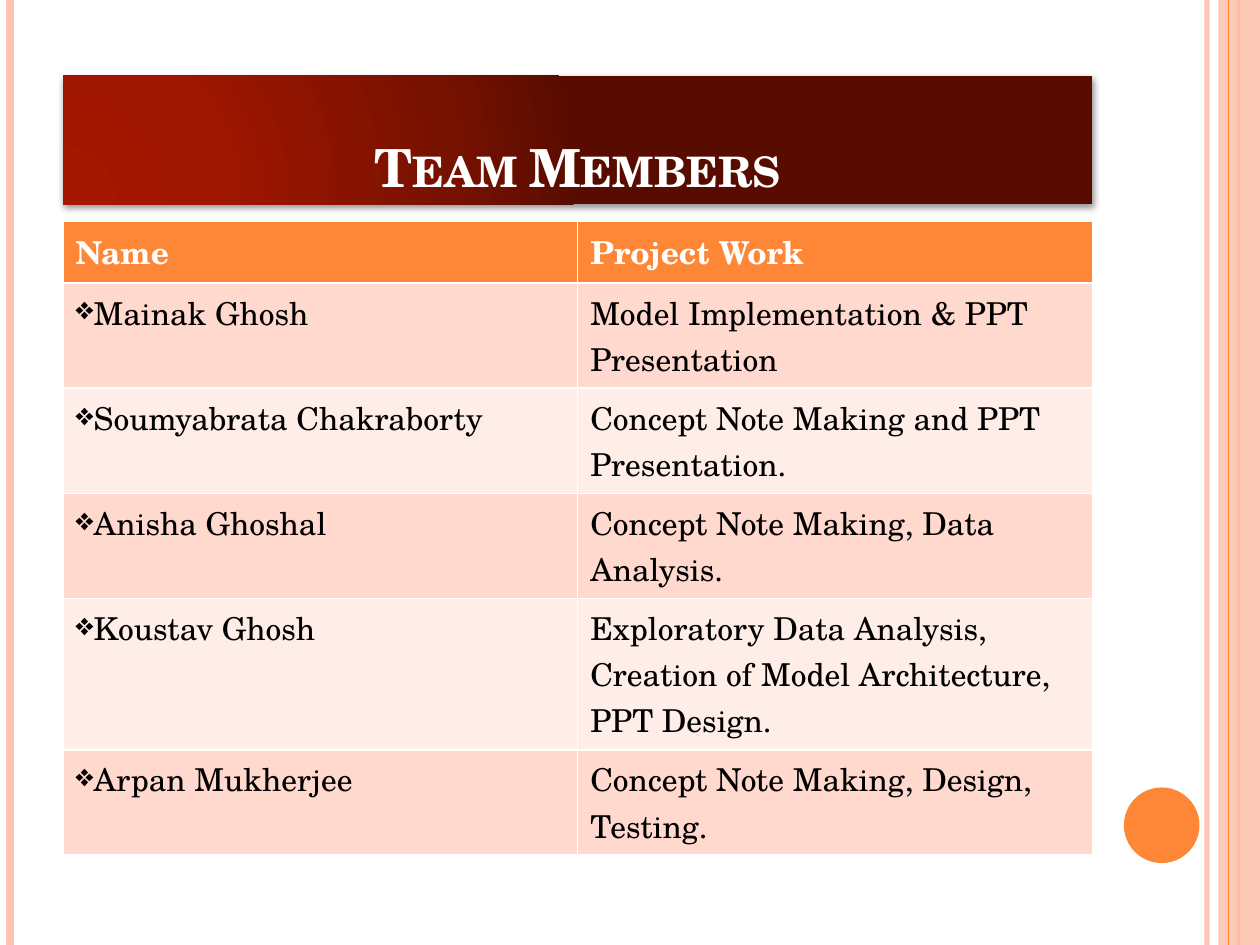
import pptx
import pptx.util
import pptx.dml.color
import pptx.enum.shapes
import pptx.enum.text
import pptx.oxml
import pptx.oxml.ns

Inches, Pt = pptx.util.Inches, pptx.util.Pt
RGB = pptx.dml.color.RGBColor
SHAPE = pptx.enum.shapes.MSO_SHAPE
qn = pptx.oxml.ns.qn
NS = pptx.oxml.ns.nsdecls("a")

FONT = "TeX Gyre Schola"
WHITE = RGB(0xFF, 0xFF, 0xFF)
BLACK = RGB(0, 0, 0)
ORANGE = RGB(0xFE, 0x86, 0x37)
PEACH = RGB(0xFE, 0xC3, 0xAE)
BANDS = [RGB(0xFF, 0xD9, 0xCE), RGB(0xFF, 0xED, 0xE8)]
REDS = [(0, RGB(0xA4, 0x17, 0x00)), (30, RGB(0x9F, 0x16, 0x00)),
        (75, RGB(0x77, 0x11, 0x00)), (100, RGB(0x58, 0x0C, 0x00))]

TITLE = "Team Members"
HEAD = ("Name", "Project Work")
TEAM = [
    ("Mainak Ghosh", "Model Implementation & PPT Presentation"),
    ("Soumyabrata Chakraborty", "Concept Note Making and PPT Presentation."),
    ("Anisha Ghoshal", "Concept Note Making, Data Analysis."),
    ("Koustav Ghosh", "Exploratory Data Analysis, Creation of Model "
                      "Architecture, PPT Design."),
    ("Arpan Mukherjee", "Concept Note Making, Design, Testing."),
]
HIGHS = [0.43, 0.75, 0.75, 0.75, 1.07, 0.75]
# x, colour, width in points, opacity in percent
RULES = [(9.58, PEACH, 3, 93), (0.08, PEACH, 4.5, 100), (9.83, ORANGE, 1.5, 100)]
EDGE = (9.75, ORANGE, 0.75, 100)
LEFT, WIDE, TALL = 0.5, 8.17, 7.5


def node(xml):
    return pptx.oxml.parse_xml(xml)


def fade(part, pct):
    """Set the opacity of the solid fill inside an XML element."""
    color = part.find(".//" + qn("a:srgbClr"))
    color.append(node(f'<a:alpha {NS} val="{pct * 1000}"/>'))


def add_rule(slide, x, color, width, pct):
    rule = slide.shapes.add_connector(
        pptx.enum.shapes.MSO_CONNECTOR.STRAIGHT,
        Inches(x), 0, Inches(x), Inches(TALL))
    rule.line.color.rgb = color
    rule.line.width = Pt(width)
    props = rule._element.spPr
    if pct < 100:
        fade(props, pct)
    props.append(node(f"<a:effectLst {NS}/>"))


def add_shape(slide, kind, box, color):
    shape = slide.shapes.add_shape(kind, *map(Inches, box))
    shape.shadow.inherit = False
    shape.fill.solid()
    shape.fill.fore_color.rgb = color
    shape.line.fill.background()
    return shape


def write(para, text, size, color, bold):
    run = para.add_run()
    run.text = text
    font = run.font
    font.name, font.size, font.bold = FONT, Pt(size), bold
    font.color.rgb = color
    return run


def add_title(slide):
    title = slide.shapes.title
    title.left, title.top = Inches(LEFT), Inches(0.6)
    title.width, title.height = Inches(WIDE), Inches(1.02)
    stops = "".join(f'<a:gs pos="{pos * 1000}"><a:srgbClr val="{color}"/></a:gs>'
                    for pos, color in REDS)
    props = title._element.spPr
    props.append(node(
        f'<a:gradFill {NS} rotWithShape="1"><a:gsLst>{stops}</a:gsLst>'
        '<a:path path="circle"><a:fillToRect l="5000" t="100000" r="120000" '
        'b="10000"/></a:path></a:gradFill>'))
    props.append(node(
        f'<a:effectLst {NS}><a:outerShdw blurRad="{Pt(4)}" dist="{Pt(1.6)}" '
        'dir="5400000" rotWithShape="0"><a:srgbClr val="000000">'
        '<a:alpha val="42000"/></a:srgbClr></a:outerShdw></a:effectLst>'))
    frame = title.text_frame
    frame.auto_size = pptx.enum.text.MSO_AUTO_SIZE.NONE
    frame.vertical_anchor = pptx.enum.text.MSO_ANCHOR.BOTTOM
    para = frame.paragraphs[0]
    para.alignment = pptx.enum.text.PP_ALIGN.CENTER
    run = write(para, TITLE, 30, WHITE, True)
    run.font._element.set("cap", "small")


def add_team(slide):
    rows = [HEAD] + TEAM
    table = slide.shapes.add_table(
        len(rows), len(HEAD), Inches(LEFT), Inches(1.76),
        Inches(WIDE), Inches(sum(HIGHS))).table
    for i, (row, high) in enumerate(zip(rows, HIGHS)):
        table.rows[i].height = Inches(high)
        head = i == 0
        for j, text in enumerate(row):
            cell = table.cell(i, j)
            cell.fill.solid()
            cell.fill.fore_color.rgb = ORANGE if head else BANDS[(i - 1) % 2]
            para = cell.text_frame.paragraphs[0]
            write(para, text, 18, WHITE if head else BLACK, head)
            if j == 0 and not head:
                props = para._p.get_or_add_pPr()
                props.append(node(f'<a:buChar {NS} char="❖"/>'))


def main():
    deck = pptx.Presentation()
    deck.slide_width, deck.slide_height = Inches(10), Inches(TALL)
    slide = deck.slides.add_slide(deck.slide_layouts[5])
    for rule in RULES:
        add_rule(slide, *rule)
    band = add_shape(slide, SHAPE.RECTANGLE, (9.67, 0, 0.33, TALL), PEACH)
    fade(band._element.spPr, 87)
    add_rule(slide, *EDGE)
    add_shape(slide, SHAPE.OVAL, (8.92, 6.25, 0.6, 0.6), ORANGE)
    add_title(slide)
    add_team(slide)
    deck.save("out.pptx")


if __name__ == "__main__":
    main()
